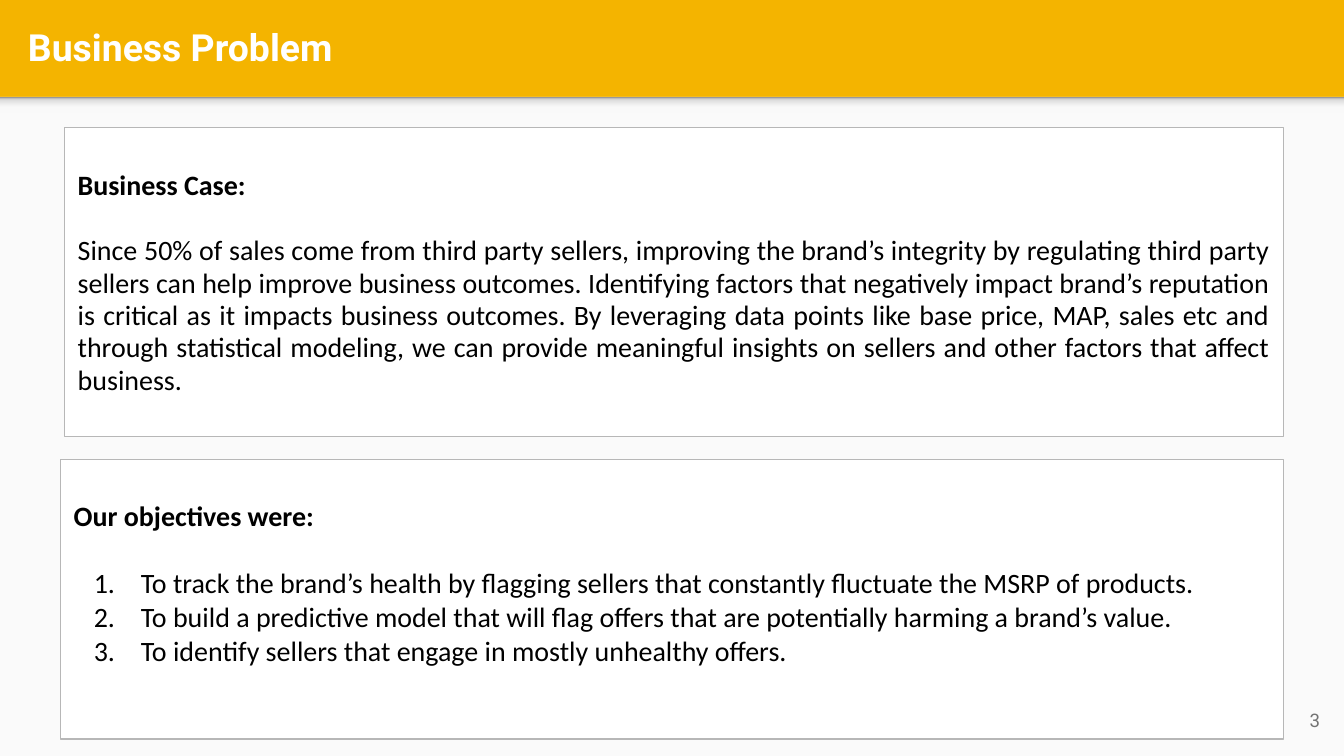
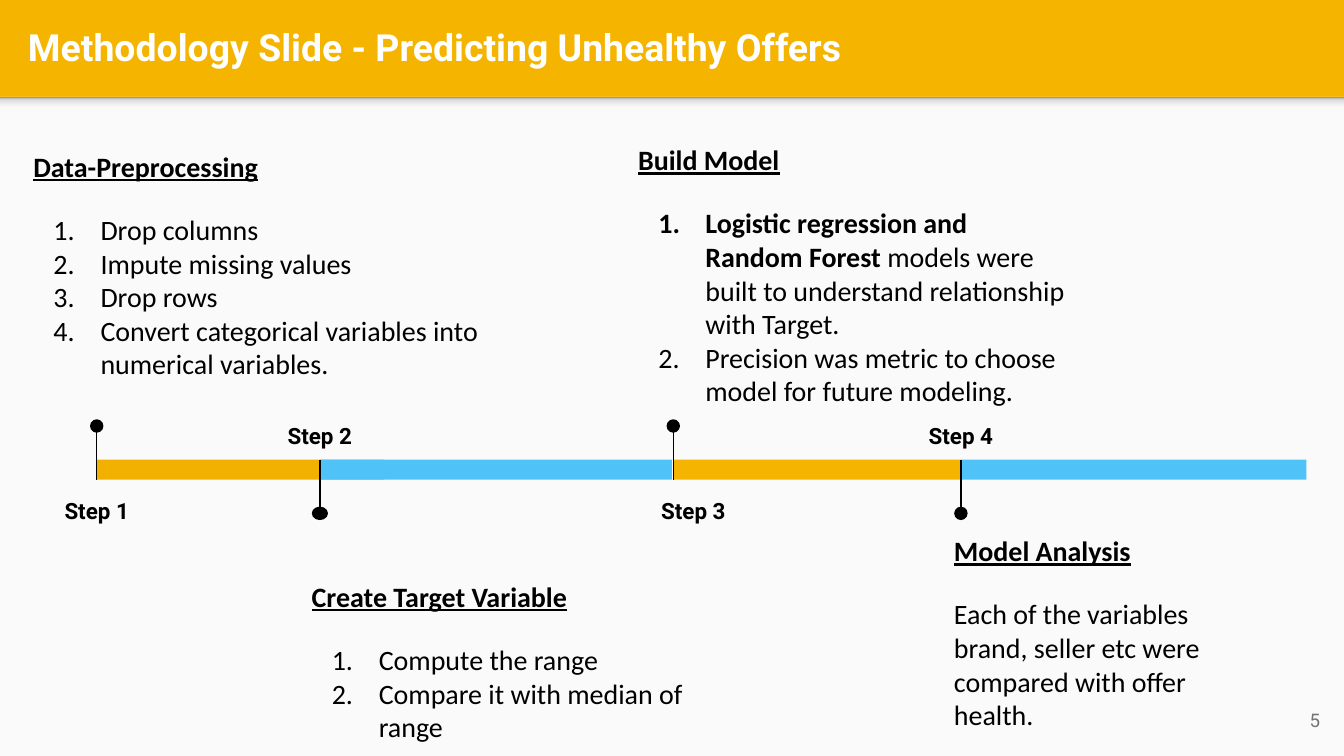
from lxml import etree
from pptx import Presentation
from pptx.dml.color import RGBColor
from pptx.enum.shapes import MSO_CONNECTOR, MSO_SHAPE
from pptx.enum.text import MSO_ANCHOR, PP_ALIGN
from pptx.oxml.ns import qn
from pptx.util import Inches, Pt

RECT, OVAL = MSO_SHAPE.RECTANGLE, MSO_SHAPE.OVAL
STRAIGHT = MSO_CONNECTOR.STRAIGHT
TOP, MIDDLE = MSO_ANCHOR.TOP, MSO_ANCHOR.MIDDLE
LEFT, CENTER, RIGHT, JUSTIFY = PP_ALIGN.LEFT, PP_ALIGN.CENTER, PP_ALIGN.RIGHT, PP_ALIGN.JUSTIFY

AMBER = RGBColor(0xF4, 0xB4, 0x00)
DARK_AMBER = RGBColor(0xF2, 0xB1, 0x00)
SKY = RGBColor(0x4F, 0xC3, 0xF7)
PAPER = RGBColor(0xFA, 0xFA, 0xFA)
WHITE = RGBColor(0xFF, 0xFF, 0xFF)
BLACK = RGBColor(0x00, 0x00, 0x00)
BORDER = RGBColor(0xB7, 0xB7, 0xB7)
GREY = RGBColor(0x73, 0x73, 0x73)
BAND_SHADOW = [(0, "F9F9F9"), (36, "F9F9F9"), (80, "DEDEDE"), (100, "999999")]

BODY, HEAD = "Calibri", "Roboto"
SLIDE_W = 10
SLIDE_H = SLIDE_W * 9 / 16
BAND_H = 0.72
PAD = 0.1

# Slide 1
CASE_TITLE = "Business Case:"
CASE = (
    "Since 50% of sales come from third party sellers, improving the brand’s integrity by "
    "regulating third party sellers can help improve business outcomes. Identifying factors "
    "that negatively impact brand’s reputation is critical as it impacts business outcomes. "
    "By leveraging data points like base price, MAP, sales etc and through statistical "
    "modeling, we can provide meaningful insights on sellers and other factors that affect "
    "business."
)
GOALS_TITLE = "Our objectives were:"
GOALS = [
    "To track the brand’s health by flagging sellers that constantly fluctuate the MSRP of products.",
    "To build a predictive model that will flag offers that are potentially harming a brand’s value.",
    "To identify sellers that engage in mostly unhealthy offers.",
]

# Slide 2: a line is a string, or a (bold, plain) pair
STEPS = [
    dict(x=0.72, width=2.14, color=DARK_AMBER, title="Data-Preprocessing",
         box=(0.15, 1.01, 3.63, 2.11), numbered=True,
         lines=["Drop columns", "Impute missing values", "Drop rows",
                "Convert categorical variables into numerical variables."]),
    dict(x=2.38, width=2.62, color=SKY, title="Create Target Variable", dot_width=0.12,
         box=(2.22, 4.21, 2.98, 1.15), numbered=True,
         lines=["Compute the range", "Compare it with median of range"]),
    dict(x=5.01, width=2.14, color=AMBER, title="Build Model", label_shift=0.15,
         box=(4.65, 0.96, 3.38, 2.12), numbered=True,
         lines=[("Logistic regression and Random Forest ",
                 "models were built to understand relationship with Target."),
                "Precision was metric to choose model for future modeling."]),
    dict(x=7.15, width=2.57, color=SKY, title="Model Analysis",
         box=(7, 3.87, 2.46, 1.03), numbered=False,
         lines=["Each of the variables brand, seller etc were compared with offer health."]),
]
BAR_Y, BAR_H = 3.42, 0.15
STEM, DOT = 0.4, 0.1
LABEL_W, LABEL_H = 1, 0.41


def inches(*lengths):
    return [Inches(v) for v in lengths]


def add_box(slide, at, fill, shape=RECT, line=None):
    s = slide.shapes.add_shape(shape, *inches(*at))
    s.shadow.inherit = False
    s.fill.solid()
    s.fill.fore_color.rgb = fill
    if line is None:
        s.line.fill.background()
    else:
        s.line.color.rgb = line
        s.line.width = Pt(0.75)
    return s


def add_frame(shape, anchor=TOP, bottom=PAD):
    tf = shape.text_frame
    tf.word_wrap = True
    tf.vertical_anchor = anchor
    tf.margin_left = tf.margin_right = tf.margin_top = Inches(PAD)
    tf.margin_bottom = Inches(bottom)
    return tf


def add_text_box(slide, at, anchor=TOP):
    return add_frame(slide.shapes.add_textbox(*inches(*at)), anchor)


def write(tf, text, size=15, font=BODY, color=BLACK, bold=False, underline=False,
          align=LEFT, spacing=None, before=None, numbered=False):
    """Add one paragraph; text is a string or a (bold, plain) pair."""
    p = tf.paragraphs[0]
    if p.runs:
        p = tf.add_paragraph()
    if numbered:
        pPr = p._p.get_or_add_pPr()
        pPr.set("marL", str(Inches(0.5)))
        pPr.set("indent", str(Inches(-0.35)))
        etree.SubElement(pPr, qn("a:buAutoNum"), type="arabicPeriod")
    p.alignment = align
    if spacing:
        p.line_spacing = spacing
    if before:
        p.space_before = Pt(before)
    runs = [(text, bold)] if isinstance(text, str) else zip(text, (True, False))
    for words, is_bold in runs:
        r = p.add_run()
        r.text = words
        r.font.size = Pt(size)
        r.font.name = font
        r.font.color.rgb = color
        r.font.bold = is_bold
        r.font.underline = underline


def write_lines(tf, lines, gap, **style):
    for i, line in enumerate(lines):
        write(tf, line, before=None if i else gap, **style)


def add_line(slide, x, y1, y2):
    c = slide.shapes.add_connector(STRAIGHT, *inches(x, y1, x, y2))
    c.line.color.rgb = BLACK
    c.line.width = Pt(0.75)
    etree.SubElement(c._element.spPr, qn("a:effectLst"))


def shade_upward(shape, stops):
    """Replace the solid fill with a gradient that runs from bottom to top."""
    grad = etree.Element(qn("a:gradFill"), rotWithShape="1")
    gs_list = etree.SubElement(grad, qn("a:gsLst"))
    for percent, color in stops:
        gs = etree.SubElement(gs_list, qn("a:gs"), pos=str(percent * 1000))
        etree.SubElement(gs, qn("a:srgbClr"), val=color)
    etree.SubElement(grad, qn("a:lin"), ang=str(270 * 60000), scaled="0")
    spPr = shape._element.spPr
    spPr.replace(spPr.find(qn("a:solidFill")), grad)


def add_slide(prs, title, number):
    slide = prs.slides.add_slide(prs.slide_layouts[6])
    slide.background.fill.solid()
    slide.background.fill.fore_color.rgb = AMBER
    add_box(slide, (0, BAND_H, SLIDE_W, SLIDE_H - BAND_H), PAPER)
    strip = add_box(slide, (0, BAND_H, SLIDE_W, 0.12), PAPER)
    shade_upward(strip, BAND_SHADOW)
    write(add_text_box(slide, (0.11, 0.02, 9.65, 0.66), MIDDLE), title,
          size=20, font=HEAD, color=WHITE, bold=True)
    write(add_text_box(slide, (9.32, 5.14, 0.6, 0.43), MIDDLE), str(number),
          size=10, font=HEAD, color=GREY, align=RIGHT)
    return slide


def add_step(slide, number, step):
    """Draw one step; odd steps point up and even steps point down."""
    x, up = step["x"], number % 2 == 1
    bar_end = BAR_Y + BAR_H
    add_box(slide, (x, BAR_Y, step["width"], BAR_H), step["color"])
    tip = bar_end - STEM if up else BAR_Y + STEM
    add_line(slide, x, tip, bar_end if up else BAR_Y)
    dot_w = step.get("dot_width", DOT)
    add_box(slide, (x - dot_w / 2, tip - DOT / 2, dot_w, DOT), BLACK, OVAL)

    label_x = x + step.get("label_shift", 0) - LABEL_W / 2
    label_y = bar_end if up else BAR_Y - LABEL_H
    write(add_text_box(slide, (label_x, label_y, LABEL_W, LABEL_H)), f"Step {number}",
          size=12, font=HEAD, bold=True, align=CENTER, spacing=1.15)

    tf = add_text_box(slide, step["box"])
    write(tf, step["title"], bold=True, underline=True)
    write_lines(tf, step["lines"], 16, numbered=step["numbered"])


def build_problem(prs):
    slide = add_slide(prs, "Business Problem", 3)
    tf = add_frame(add_box(slide, (0.48, 0.95, 9.07, 2.3), WHITE, line=BORDER), MIDDLE)
    write(tf, CASE_TITLE, bold=True, align=JUSTIFY)
    write(tf, CASE, align=JUSTIFY, spacing=0.96, before=18)
    tf = add_frame(add_box(slide, (0.45, 3.42, 9.1, 2.08), WHITE, line=BORDER), MIDDLE, 0.35)
    write(tf, GOALS_TITLE, bold=True)
    write_lines(tf, GOALS, 18, numbered=True)


def build_methodology(prs):
    slide = add_slide(prs, "Methodology Slide - Predicting Unhealthy Offers", 5)
    for number, step in enumerate(STEPS, 1):
        add_step(slide, number, step)


def main():
    prs = Presentation()
    prs.slide_width, prs.slide_height = inches(SLIDE_W, SLIDE_H)
    build_problem(prs)
    build_methodology(prs)
    prs.save("out.pptx")


if __name__ == "__main__":
    main()
